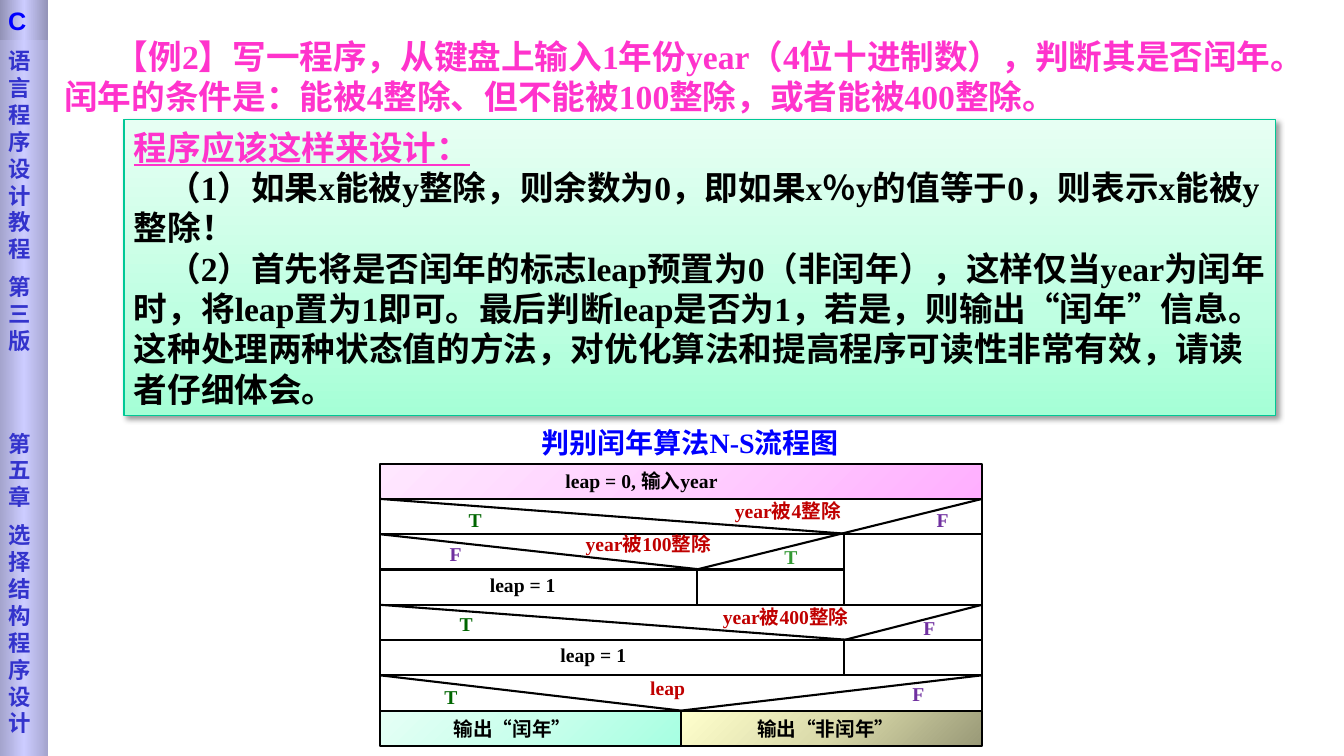
from pptx import Presentation
from pptx.dml.color import RGBColor
from pptx.enum.shapes import MSO_CONNECTOR as LINK, MSO_SHAPE as KIND
from pptx.enum.text import MSO_ANCHOR as ANCHOR, PP_ALIGN as ALIGN
from pptx.oxml import parse_xml
from pptx.oxml.ns import nsdecls, qn
from pptx.util import Inches, Pt

SERIF, HAN = "Times New Roman", "Noto Sans CJK SC"
BLACK, RED, GREEN, PURPLE, PINK = "000000", "C00000", "006600", "7030A0", "FF33CC"


def tint(code):
    """Turn a hex string into a colour."""
    return RGBColor.from_string(code)


def write(frame, text, size=14, color=BLACK, font=SERIF, under=False,
          indent=0, before=0, first=True):
    """Write one bold paragraph into a text frame."""
    para = frame.paragraphs[0] if first else frame.add_paragraph()
    para.alignment = ALIGN.LEFT
    para.line_spacing = Pt(size * (1.15 if text.isascii() else 1.2))
    if before:
        para.space_before = Pt(before)
    if indent:
        para._p.get_or_add_pPr().set("indent", str(Inches(indent)))
    run = para.add_run()
    run.text = text
    face = run.font
    face.name, face.size, face.bold = font, Pt(size), True
    face.underline = under
    face.color.rgb = tint(color)
    east = parse_xml(f'<a:ea {nsdecls("a")} typeface="{HAN}"/>')
    run._r.get_or_add_rPr().find(qn("a:latin")).addnext(east)


def label(slide, x, y, w, h, text, **style):
    """Place a wrapping text box and return its frame."""
    frame = slide.shapes.add_textbox(Inches(x), Inches(y), Inches(w), Inches(h)).text_frame
    frame.word_wrap = True
    write(frame, text, **style)
    return frame


def blend(shape, stops, angle):
    """Fill a shape with a linear gradient."""
    shape.fill.gradient()
    grad = shape._element.spPr.find(qn("a:gradFill"))
    marks = grad.find(qn("a:gsLst"))
    for mark in list(marks):
        marks.remove(mark)
    for spot, code in stops:
        marks.append(parse_xml(f'<a:gs {nsdecls("a")} pos="{spot * 1000}">'
                               f'<a:srgbClr val="{code}"/></a:gs>'))
    grad.find(qn("a:lin")).set("ang", str(angle * 60000))


def block(slide, x, y, w, h, stops=None, angle=225, edge=BLACK, width=1.5, kind=KIND.RECTANGLE):
    """Add a white or graded box with an optional edge."""
    shape = slide.shapes.add_shape(kind, Inches(x), Inches(y), Inches(w), Inches(h))
    shape.shadow.inherit = False
    if stops:
        blend(shape, stops, angle)
    else:
        shape.fill.solid()
        shape.fill.fore_color.rgb = tint("FFFFFF")
    if edge:
        shape.line.color.rgb = tint(edge)
        shape.line.width = Pt(width)
    else:
        shape.line.fill.background()
    return shape


def stroke(slide, x, y, to_x, to_y):
    """Draw a straight black line."""
    line = slide.shapes.add_connector(LINK.STRAIGHT, Inches(x), Inches(y),
                                      Inches(to_x), Inches(to_y))
    line.line.color.rgb = tint(BLACK)
    line.line.width = Pt(1.5)
    line._element.spPr.append(parse_xml(f'<a:effectLst {nsdecls("a")}/>'))
    return line


def side(slide, x, y, w, h):
    """Draw the side bar with its upright book and chapter names."""
    bar = block(slide, x, y, w, h, [(0, "A4A4CD"), (50, "CCCCFF"), (100, "A4A4CD")], 0, edge=None)
    cap = block(slide, x, y, w, 0.4, [(0, "9292B6"), (50, "CCCCFF"), (100, "9292B6")], 0, edge=None)
    for shape, top in ((bar, 0.47), (cap, 0.07)):
        frame = shape.text_frame
        frame.word_wrap = True
        frame.vertical_anchor = ANCHOR.TOP
        frame.margin_left, frame.margin_top = Inches(0.08), Inches(top)
    write(cap.text_frame, "C", size=18, color="0000FF", font="Arial")
    names = [("语言程序设计教程", 0), ("第三版", 8), ("第五章", 54), ("选择结构程序设计", 8)]
    for text, gap in names:
        write(bar.text_frame, text, size=16, color="3333CC", font="DejaVu Sans",
              before=gap, first=gap == 0)


def panel(slide, x, y, w, h):
    """Draw the shaded box that explains the design."""
    box = block(slide, x, y, w, h, [(0, "A5FFD6"), (35, "BFFFE2"), (100, "E7FFF3")], 270,
                edge="00C896", width=0.75)
    glow = box._element.spPr.find(qn("a:effectLst"))
    glow.append(parse_xml(
        f'<a:outerShdw {nsdecls("a")} blurRad="{Pt(4)}" dist="{Pt(3)}" dir="2700000" '
        f'rotWithShape="0"><a:srgbClr val="{BLACK}"><a:alpha val="40000"/></a:srgbClr>'
        '</a:outerShdw>'))
    frame = box.text_frame
    frame.word_wrap = True
    frame.vertical_anchor = ANCHOR.MIDDLE
    write(frame, "程序应该这样来设计：", size=24, color=PINK, font=HAN, under=True)
    for text in (
            "（1）如果x能被y整除，则余数为0，即如果x％y的值等于0，则表示x能被y整除！",
            "（2）首先将是否闰年的标志leap预置为0（非闰年），这样仅当year为闰年时，"
            "将leap置为1即可。最后判断leap是否为1，若是，则输出“闰年”信息。"
            "这种处理两种状态值的方法，对优化算法和提高程序可读性非常有效，请读者仔细体会。"):
        write(frame, text, size=24, indent=0.33, first=False)


def chart(slide, x, y, w, row):
    """Draw the N-S chart in rows of one height."""
    half, inner, main = w / 2, 3.14, 4.6

    def cell(left, right, level, span=1, stops=None):
        """Add a box between two columns."""
        return block(slide, x + left, y + level * row, right - left, span * row, stops,
                     kind=KIND.FLOWCHART_PROCESS)

    def slant(start, level, end, base):
        """Add a slanted line between two levels."""
        return stroke(slide, x + start, y + level * row, x + end, y + base * row)

    cell(0, w, 0, stops=[(0, "FFAFFF"), (50, "FFCEFF"), (100, "FFE7FF")])
    cell(0, w, 1)
    cell(0, main, 2)
    slant(w, 1, inner, 3)
    slant(0, 1, 4.69, 2)
    slant(0, 2, 3.18, 3)
    cell(0, inner, 3)
    cell(inner, main, 3)
    cell(main, w, 2, span=2)
    cell(0, w, 4)
    slant(w, 4, main, 5)
    slant(0, 4, 4.67, 5)
    cell(0, main, 5)
    cell(main, w, 5)
    test = cell(0, w, 6)
    cell(0, half, 7, stops=[(0, "A7FFE2"), (50, "C9FFEC"), (100, "E5FFF5")])
    cell(half, w, 7, stops=[(0, "999977"), (50, "DADAAA"), (100, "FFFFCD")])
    for start in (0, w):
        slant(start, 6, half, 7).end_connect(test, 2)

    for left, top, wide, text, color in (
            (1.74, 0, 2.43, "leap = 0, 输入year", BLACK),
            (3.42, 0.3, 1.96, "year被4整除", RED),
            (1.94, 0.63, 1.86, "year被100整除", RED),
            (3.3, 1.35, 1.79, "year被400整除", RED),
            (0.99, 1.04, 1.19, "leap = 1", BLACK),
            (1.69, 1.74, 1.25, "leap = 1", BLACK),
            (2.58, 2.07, 0.89, "leap", RED),
            (0.63, 2.46, 1.65, "输出“闰年”", BLACK),
            (3.64, 2.46, 1.95, "输出“非闰年”", BLACK),
            (0.78, 0.4, 0.45, "T", GREEN),
            (0.69, 1.43, 0.45, "T", GREEN),
            (0.54, 2.16, 0.45, "T", GREEN),
            (3.91, 0.77, 0.45, "T", "339933"),
            (5.42, 0.4, 0.45, "F", PURPLE),
            (0.59, 0.74, 0.45, "F", PURPLE),
            (5.29, 1.47, 0.45, "F", PURPLE),
            (5.18, 2.13, 0.45, "F", PURPLE)):
        label(slide, x + left, y + top, wide, 0.33, text, color=color)
    label(slide, x + 1.5, y - 0.43, 4.15, 0.48, "判别闰年算法N-S流程图", size=20, color="0000FF")


def title(slide, x, y, w, h):
    """Place the problem statement."""
    frame = label(slide, x, y, w, h,
                  "【例2】写一程序，从键盘上输入1年份year（4位十进制数），判断其是否闰年。"
                  "闰年的条件是：能被4整除、但不能被100整除，或者能被400整除。",
                  size=24, color=PINK, indent=0.5)
    frame.vertical_anchor = ANCHOR.MIDDLE


def main():
    """Build and save the slide."""
    deck = Presentation()
    deck.slide_width, deck.slide_height = Inches(13.33), Inches(7.5)
    slide = deck.slides.add_slide(deck.slide_layouts[6])
    title(slide, 0.54, 0.3, 12.35, 0.91)
    panel(slide, 1.23, 1.19, 11.42, 2.93)
    side(slide, 0, 0, 0.48, 7.5)
    chart(slide, 3.77, 4.6, 5.97, 0.35)
    deck.save("out.pptx")


if __name__ == "__main__":
    main()
